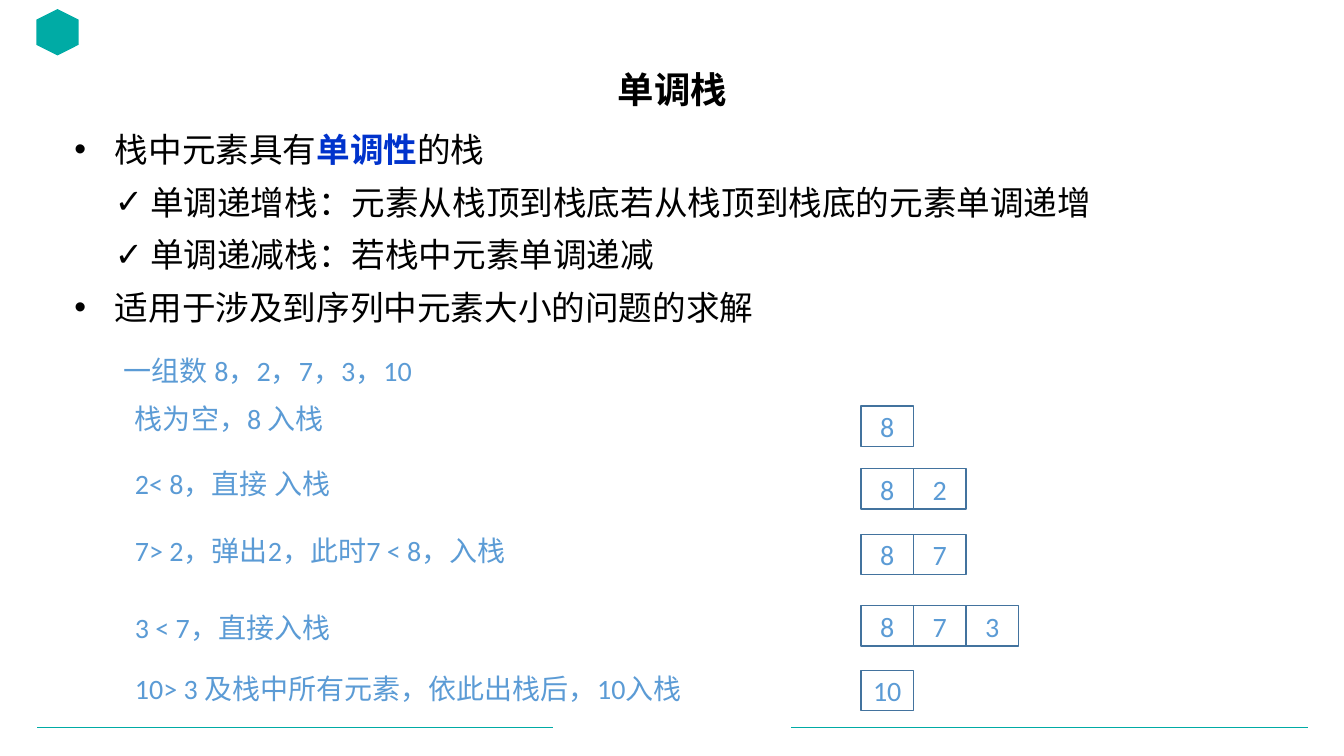
"""Build the slide that explains the monotonic stack with a worked example."""
from dataclasses import dataclass

from lxml import etree
from pptx import Presentation
from pptx.dml.color import RGBColor
from pptx.enum.shapes import MSO_CONNECTOR, MSO_SHAPE
from pptx.enum.text import MSO_ANCHOR, PP_ALIGN
from pptx.oxml.ns import qn
from pptx.util import Pt

PX = 9144
BLACK = RGBColor(0x00, 0x00, 0x00)
TEAL = RGBColor(0x00, 0xAB, 0xA5)
EMPHASIS_BLUE = RGBColor(0x00, 0x33, 0xCC)
STEP_BLUE = RGBColor(0x5B, 0x9B, 0xD5)
CELL_BORDER = RGBColor(0x43, 0x73, 0x9E)
CJK_FONT = "Noto Sans CJK SC"
LATIN_FONT = "Calibri"
STRAIGHT = MSO_CONNECTOR.STRAIGHT
RECTANGLE = MSO_SHAPE.RECTANGLE
HEXAGON = MSO_SHAPE.HEXAGON
MIDDLE = MSO_ANCHOR.MIDDLE
CENTER = PP_ALIGN.CENTER
JUSTIFY = PP_ALIGN.JUSTIFY

TITLE_ONLY = 5
CELL_LEFT, CELL_WIDTH, CELL_HEIGHT = 854, 52, 40
RULE_Y = 722


@dataclass(frozen=True)
class BulletStyle:
    """Mark and indents of one outline level."""
    mark: str
    margin: int
    hanging: int


@dataclass(frozen=True)
class Point:
    """Bulleted line made of (text, emphasised) pieces."""
    style: BulletStyle
    pieces: tuple[tuple[str, bool], ...]


@dataclass(frozen=True)
class Step:
    """Explanation of one push and the stack after it."""
    text: str
    text_top: int
    stack: tuple[int, ...]
    stack_top: int


MAIN = BulletStyle("•", 40, 40)
SUB = BulletStyle("✓", 75, 35)
POINTS = (
    Point(MAIN, (("栈中元素具有", False), ("单调性", True), ("的栈", False))),
    Point(SUB, (("单调递增栈：元素从栈顶到栈底若从栈顶到栈底的元素单调递增", False),)),
    Point(SUB, (("单调递减栈：若栈中元素单调递减", False),)),
    Point(MAIN, (("适用于涉及到序列中元素大小的问题的求解", False),)),
)
STEPS = (
    Step("栈为空，8 入栈", 393, (8,), 403),
    Step("2< 8，直接 入栈", 458, (8, 2), 465),
    Step("7> 2，弹出2，此时7 < 8，入栈", 524, (8, 7), 530),
    Step("3 < 7，直接入栈", 601, (8, 7, 3), 601),
    Step("10> 3 及栈中所有元素，依此出栈后，10入栈", 661, (10,), 665),
)


def px(*lengths: int) -> list[int]:
    """Turn px lengths into EMU."""
    return [length * PX for length in lengths]


def format_run(run, size: int, color: RGBColor, latin: str, bold: bool = False) -> None:
    """Set size, colour, weight and both typefaces of a run."""
    run.font.size = Pt(size)
    run.font.bold = bold
    run.font.color.rgb = color
    run.font.name = latin
    east_asian = etree.Element(qn("a:ea"), typeface=CJK_FONT)
    run.font._element.find(qn("a:latin")).addnext(east_asian)


def add_rule(slide, left: int, right: int) -> None:
    """Draw one thin footer rule."""
    rule = slide.shapes.add_connector(STRAIGHT, *px(left, RULE_Y, right, RULE_Y))
    rule.line.color.rgb = TEAL
    rule.line.width = Pt(0.5)
    etree.SubElement(rule._element.spPr, qn("a:effectLst"))


def add_emblem(slide) -> None:
    """Draw the plain corner hexagon."""
    emblem = slide.shapes.add_shape(HEXAGON, *px(34, 11, 46, 42))
    emblem.rotation = 90
    emblem.shadow.inherit = False
    emblem.fill.solid()
    emblem.fill.fore_color.rgb = TEAL
    emblem.line.fill.background()


def set_title(slide, text: str) -> None:
    """Place and format the title placeholder."""
    title = slide.shapes.title
    title.left, title.top, title.width, title.height = px(92, 62, 1150, 57)
    title.text_frame.text = text
    title.text_frame.vertical_anchor = MIDDLE
    heading = title.text_frame.paragraphs[0]
    heading.alignment = CENTER
    heading.line_spacing = 0.9
    format_run(heading.runs[0], 26, BLACK, CJK_FONT, bold=True)


def add_points(slide, points: tuple[Point, ...]) -> None:
    """Write the bulleted definition of the stack."""
    frame = slide.shapes.add_textbox(*px(64, 119, 1209, 220)).text_frame
    frame.word_wrap = True
    for index, point in enumerate(points):
        paragraph = frame.add_paragraph() if index else frame.paragraphs[0]
        paragraph.alignment = JUSTIFY
        paragraph.line_spacing = 1.1
        paragraph.space_before = Pt(6)
        properties = paragraph._p.get_or_add_pPr()
        properties.set("marL", str(point.style.margin * PX))
        properties.set("indent", str(-point.style.hanging * PX))
        etree.SubElement(properties, qn("a:buFont"), typeface="Arial")
        etree.SubElement(properties, qn("a:buChar"), char=point.style.mark)
        for text, emphasised in point.pieces:
            run = paragraph.add_run()
            run.text = text
            color = EMPHASIS_BLUE if emphasised else BLACK
            format_run(run, 24, color, CJK_FONT, emphasised)


def add_caption(slide, text: str, left: int, top: int, width: int) -> None:
    """Write one line of the worked example."""
    frame = slide.shapes.add_textbox(*px(left, top, width, 44)).text_frame
    frame.word_wrap = True
    frame.text = text
    format_run(frame.paragraphs[0].runs[0], 20, STEP_BLUE, LATIN_FONT)


def add_stack(slide, values: tuple[int, ...], top: int) -> None:
    """Draw a stack as adjoining cells, bottom element first."""
    for index, value in enumerate(values):
        left = CELL_LEFT + index * CELL_WIDTH
        cell = slide.shapes.add_shape(RECTANGLE, *px(left, top, CELL_WIDTH, CELL_HEIGHT))
        cell.shadow.inherit = False
        cell.fill.background()
        cell.line.color.rgb = CELL_BORDER
        cell.line.width = Pt(1)
        cell.text_frame.text = str(value)
        cell.text_frame.vertical_anchor = MIDDLE
        number = cell.text_frame.paragraphs[0]
        number.alignment = CENTER
        format_run(number.runs[0], 20, STEP_BLUE, LATIN_FONT)


def main() -> None:
    """Build and save the slide."""
    deck = Presentation()
    deck.slide_width, deck.slide_height = px(1333, 750)
    slide = deck.slides.add_slide(deck.slide_layouts[TITLE_ONLY])
    add_rule(slide, 37, 548)
    add_rule(slide, 785, 1297)
    add_emblem(slide)
    set_title(slide, "单调栈")
    add_points(slide, POINTS)
    add_caption(slide, "一组数 8，2，7，3，10", 113, 346, 434)
    for step in STEPS:
        add_caption(slide, step.text, 124, step.text_top, 700)
        add_stack(slide, step.stack, step.stack_top)
    deck.save("out.pptx")


if __name__ == "__main__":
    main()
